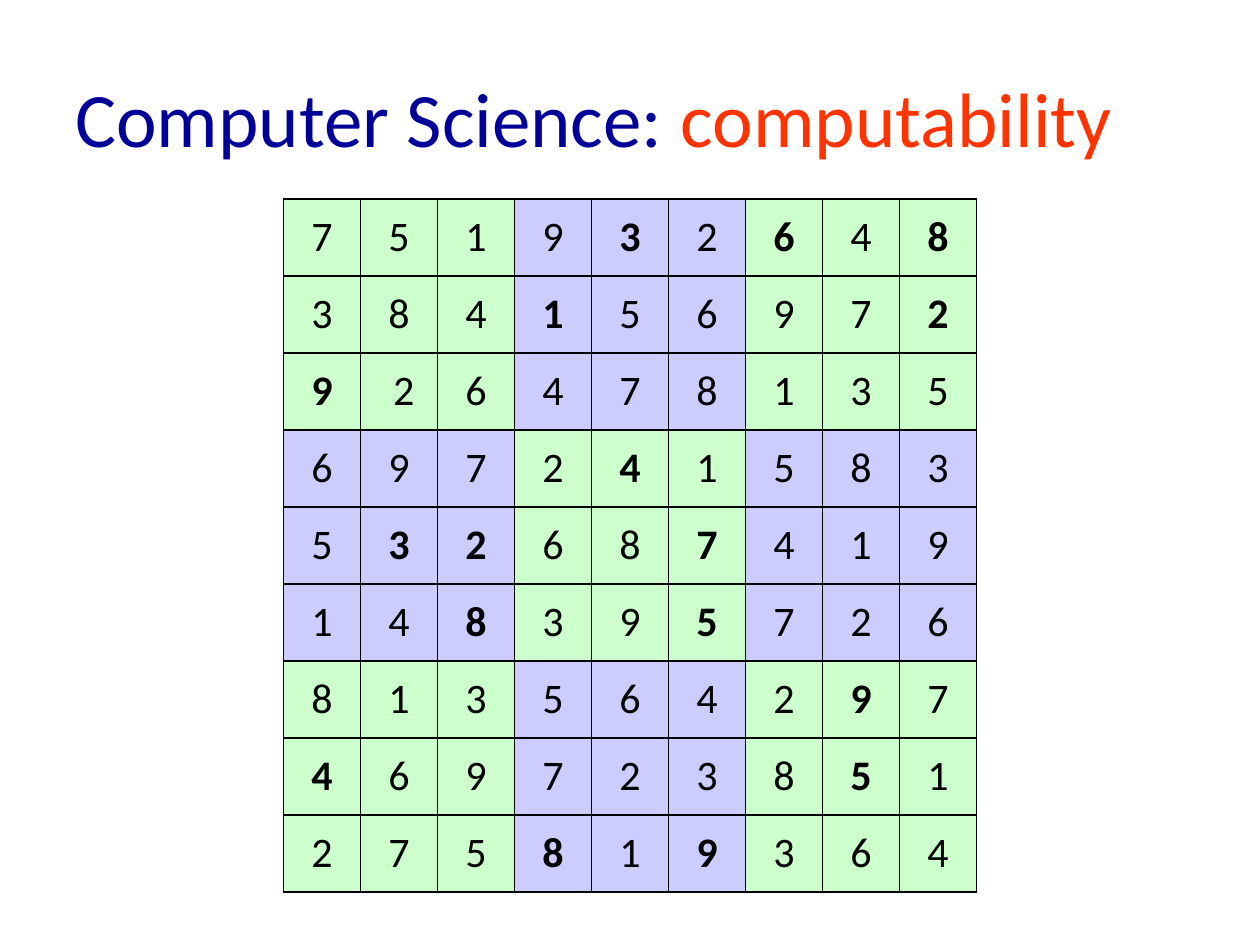
import pptx
import pptx.util
import pptx.dml.color
import pptx.enum.text
import pptx.oxml
import pptx.oxml.ns
from pptx.util import Inches

FONT = "Calibri"
BLACK = "000000"
GREEN = "CCFFCC"
LILAC = "CCCCFF"
GIVEN = "*"
SUDOKU = [
    "7,5,1,9,3*,2,6*,4,8*",
    "3,8,4,1*,5,6,9,7,2*",
    "9*, 2,6,4,7,8,1,3,5",
    "6,9,7,2,4*,1,5,8,3",
    "5,3*,2*,6,8,7*,4,1,9",
    "1,4,8*,3,9,5*,7,2,6",
    "8,1,3,5,6,4,2,9*,7",
    "4*,6,9,7,2,3,8,5*,1",
    "2,7,5,8*,1,9*,3,6,4",
]


def rgb(value):
    return pptx.dml.color.RGBColor.from_string(value)


def add_title(slide, parts):
    sp = slide.shapes.add_textbox(Inches(0.5), Inches(0.3), Inches(9), Inches(1.25))
    tf = sp.text_frame
    tf.word_wrap = True
    tf.vertical_anchor = pptx.enum.text.MSO_ANCHOR.MIDDLE
    p = tf.paragraphs[0]
    p.font.name = FONT
    p.font.size = pptx.util.Pt(44)
    for text, color in parts:
        r = p.add_run()
        r.text = text
        r.font.color.rgb = rgb(color)


def set_borders(cell, color, width):
    tc_pr = cell._tc.get_or_add_tcPr()
    for side in ("lnL", "lnR", "lnT", "lnB"):
        tc_pr.append(pptx.oxml.parse_xml(
            f'<a:{side} {pptx.oxml.ns.nsdecls("a")} w="{pptx.util.Pt(width)}">'
            f'<a:solidFill><a:srgbClr val="{color}"/></a:solidFill></a:{side}>'
        ))


def format_cell(cell, entry, fill):
    cell.margin_left = cell.margin_right = 0
    cell.margin_top = cell.margin_bottom = 0
    cell.vertical_anchor = pptx.enum.text.MSO_ANCHOR.MIDDLE
    set_borders(cell, BLACK, 1)
    cell.fill.solid()
    cell.fill.fore_color.rgb = rgb(fill)
    cell.text = entry.rstrip(GIVEN)
    p = cell.text_frame.paragraphs[0]
    p.alignment = pptx.enum.text.PP_ALIGN.CENTER
    p.font.name = FONT
    p.font.size = pptx.util.Pt(24)
    p.font.bold = entry.endswith(GIVEN)
    p.font.color.rgb = rgb(BLACK)


def add_sudoku(slide, rows, left, top, size):
    n = len(rows)
    table = slide.shapes.add_table(
        n, n, Inches(left), Inches(top), Inches(size), Inches(size)
    ).table
    table.first_row = False
    table.horz_banding = False
    for i, row in enumerate(rows):
        table.rows[i].height = Inches(size / n)
        table.columns[i].width = Inches(size / n)
        for j, entry in enumerate(row.split(",")):
            fill = LILAC if (i // 3 + j // 3) % 2 else GREEN
            format_cell(table.cell(i, j), entry, fill)


def main():
    prs = pptx.Presentation()
    prs.slide_width = Inches(10)
    prs.slide_height = Inches(7.5)
    slide = prs.slides.add_slide(prs.slide_layouts[6])
    add_title(slide, [("Computer Science: ", "000099"), ("computability", "FF3300")])
    add_sudoku(slide, SUDOKU, 2.25, 1.58, 5.5)
    prs.save("out.pptx")


if __name__ == "__main__":
    main()
